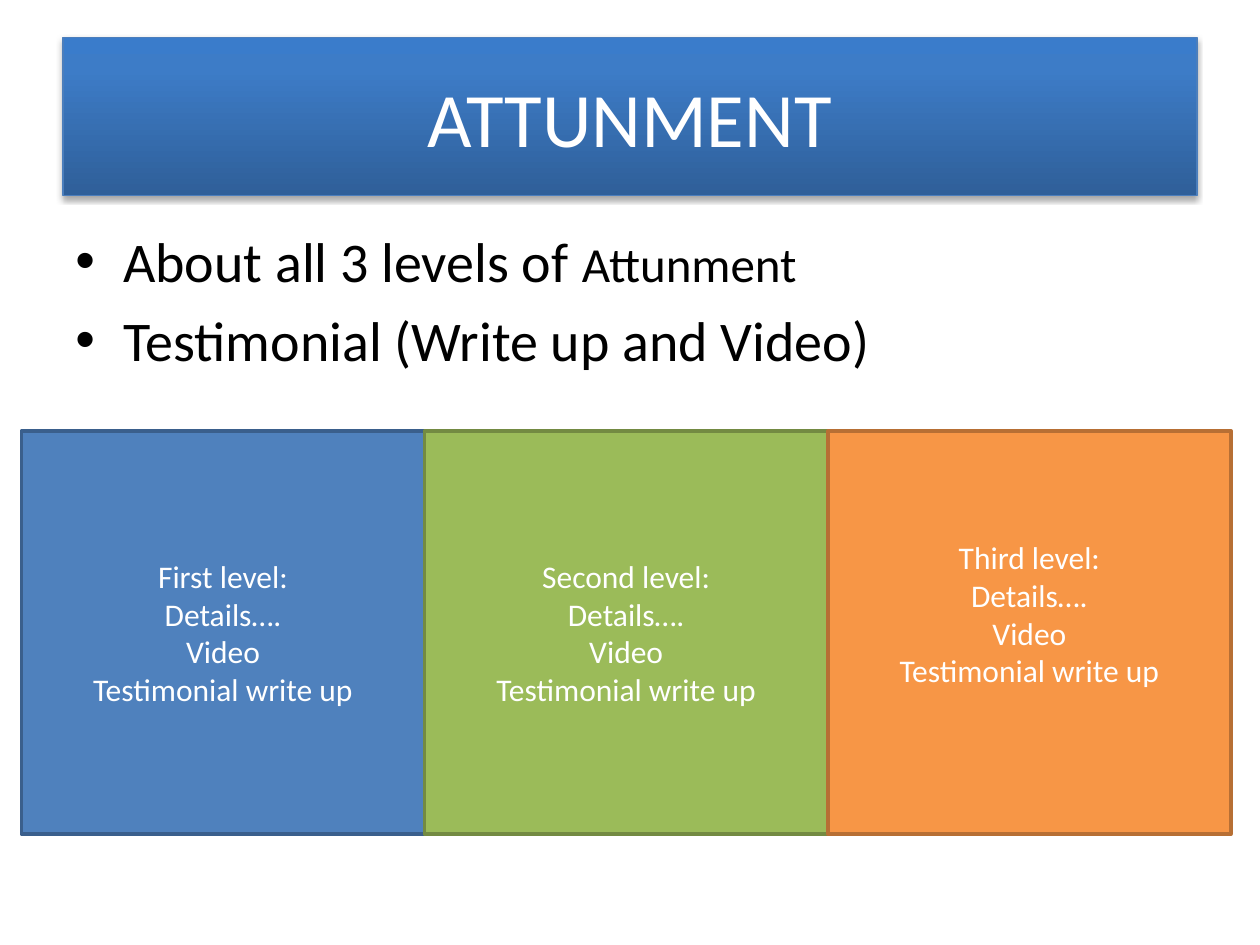
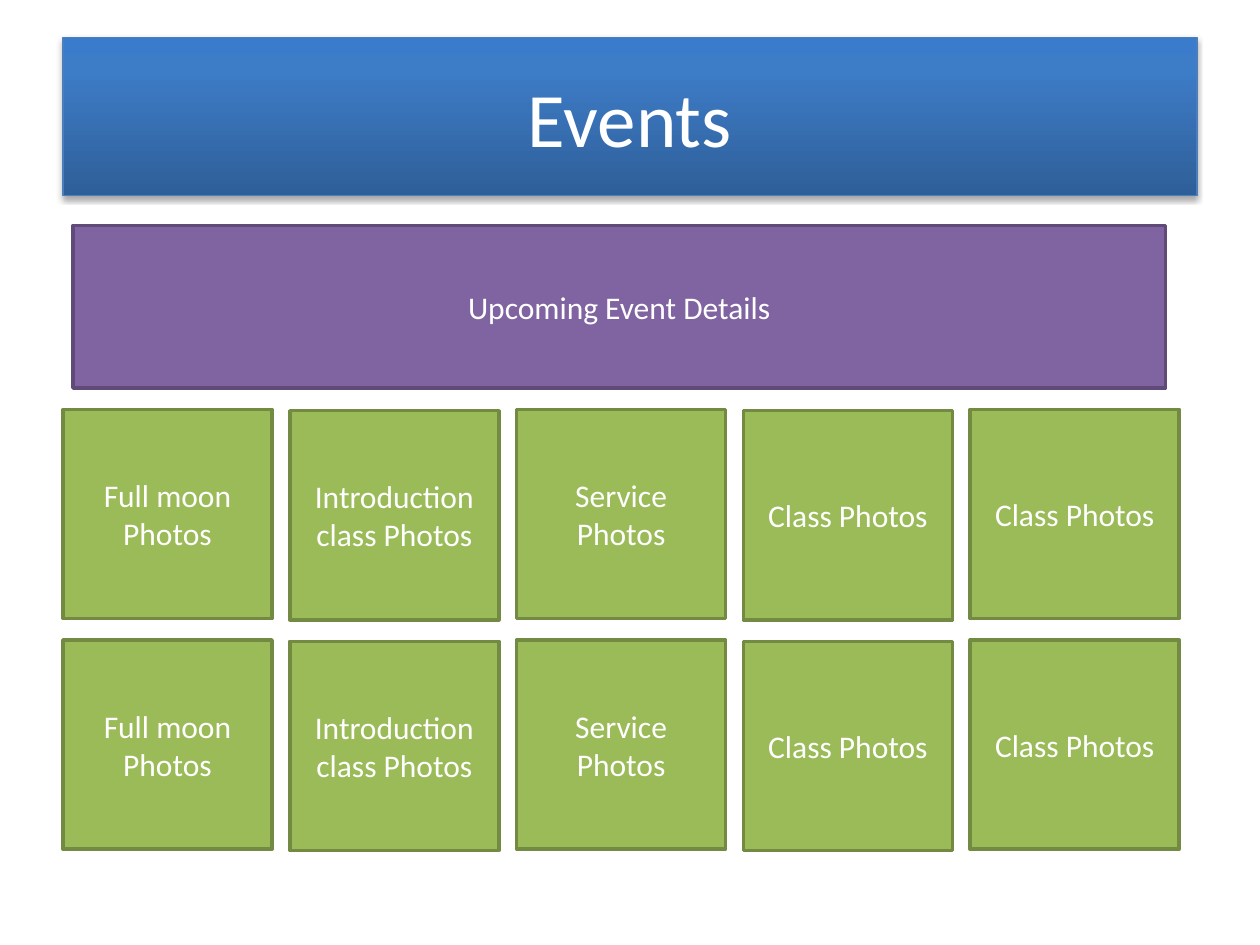
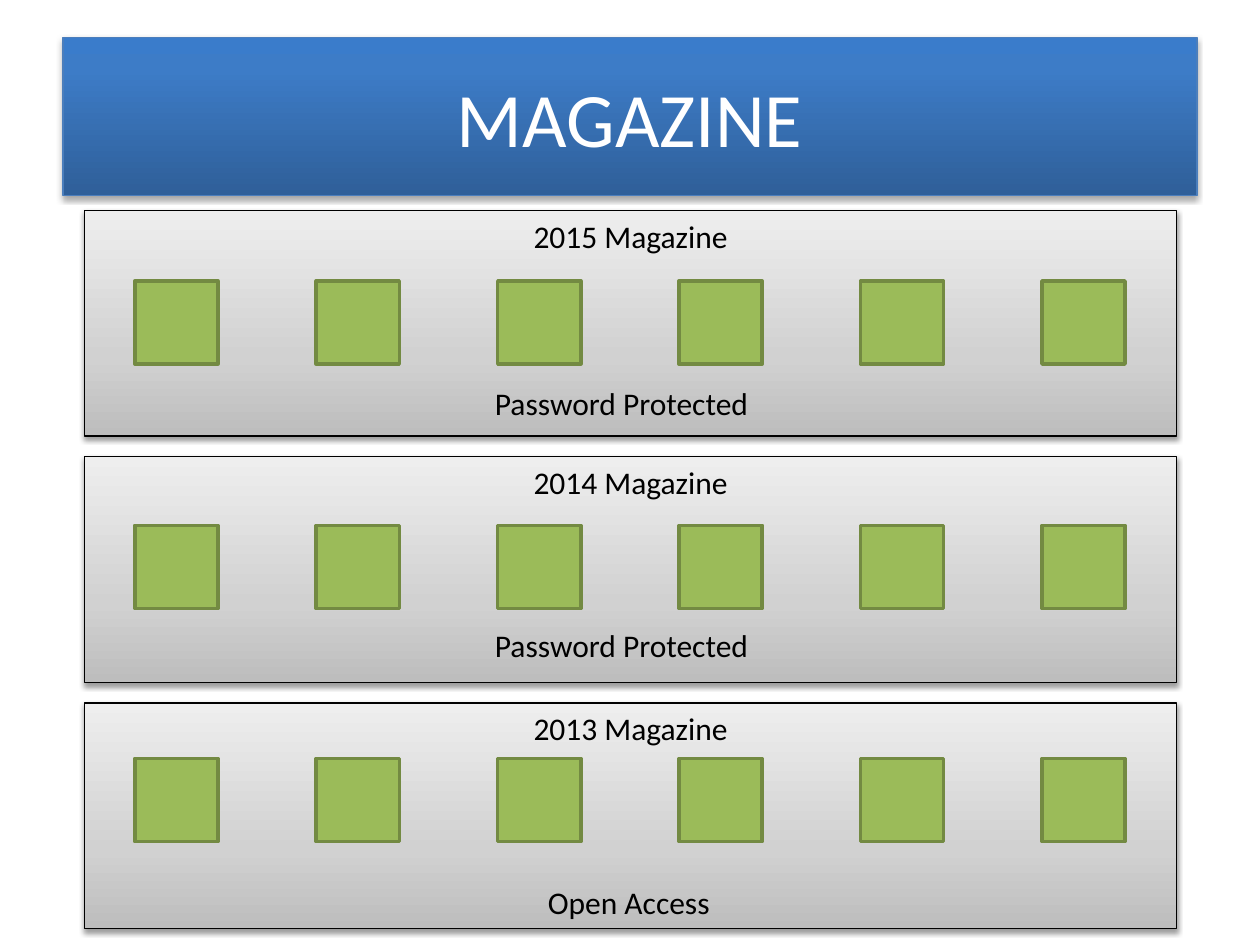
from pptx import Presentation
from pptx.dml.color import RGBColor
from pptx.enum.shapes import MSO_SHAPE
from pptx.enum.text import MSO_ANCHOR, MSO_AUTO_SIZE, PP_ALIGN
from pptx.oxml import parse_xml
from pptx.oxml.ns import nsdecls, qn
from pptx.util import Inches, Pt

FONT = "Calibri"
WHITE, BLACK = "FFFFFF", "000000"
BLUE = ("4F81BD", "3A5F8C")
GREEN = ("9BBB59", "738A42")
ORANGE = ("F79646", "B76F34")
PURPLE = ("8064A2", "5F4A78")
TITLE_STOPS = [(0, "2F5F99"), (80, "3D7CC7"), (100, "3A7CCB")]
PANEL_STOPS = [(0, "BDBDBD"), (35, "D1D1D1"), (100, "EEEEEE")]


def color(value):
    return RGBColor.from_string(value)


def write_text(frame, lines, size=18, ink=WHITE, align=PP_ALIGN.CENTER,
               anchor=MSO_ANCHOR.MIDDLE, wrap=True, bullet=False):
    frame.word_wrap = wrap
    frame.vertical_anchor = anchor
    for index, line in enumerate(lines):
        paragraph = frame.paragraphs[0] if index == 0 else frame.add_paragraph()
        paragraph.alignment = align
        for text, run_size in [(line, size)] if isinstance(line, str) else line:
            run = paragraph.add_run()
            run.text = text
            run.font.name = FONT
            run.font.size = Pt(run_size)
            run.font.color.rgb = color(ink)
        if bullet:
            paragraph.space_before = Pt(size * 0.2)
            properties = paragraph._p.get_or_add_pPr()
            properties.set("marL", str(Inches(0.38)))
            properties.set("indent", str(-Inches(0.38)))
            properties.append(parse_xml(f'<a:buFont {nsdecls("a")} typeface="Arial"/>'))
            properties.append(parse_xml(f'<a:buChar {nsdecls("a")} char="•"/>'))


class Deck:
    def __init__(self):
        self.presentation = Presentation()
        self.presentation.slide_width = Inches(10)
        self.presentation.slide_height = Inches(7.5)
        self.slide = None

    def add_slide(self, title):
        self.slide = self.presentation.slides.add_slide(self.presentation.slide_layouts[6])
        band = self.gradient_box(0.5, 0.3, 9, 1.25, TITLE_STOPS, "4B7EBC", 35, 1.8)
        write_text(band.text_frame, [title], size=44)

    def rectangle(self, left, top, width, height, line, weight):
        shape = self.slide.shapes.add_shape(
            MSO_SHAPE.RECTANGLE, Inches(left), Inches(top), Inches(width), Inches(height))
        shape.shadow.inherit = False
        shape.line.color.rgb = color(line)
        shape.line.width = Pt(weight)
        return shape

    def box(self, left, top, width, height, colors, lines=()):
        fill, line = colors
        shape = self.rectangle(left, top, width, height, line, 2)
        shape.fill.solid()
        shape.fill.fore_color.rgb = color(fill)
        write_text(shape.text_frame, lines)
        return shape

    def gradient_box(self, left, top, width, height, stops, line, opacity, distance):
        shape = self.rectangle(left, top, width, height, line, 0.75)
        shape.fill.gradient()
        shape.fill.gradient_angle = 90
        properties = shape._element.spPr
        stop_list = properties.find(qn("a:gradFill")).find(qn("a:gsLst"))
        for stop in list(stop_list):
            stop_list.remove(stop)
        for position, value in stops:
            stop_list.append(parse_xml(
                f'<a:gs {nsdecls("a")} pos="{position * 1000}"><a:srgbClr val="{value}"/></a:gs>'))
        properties.find(qn("a:effectLst")).append(parse_xml(
            f'<a:outerShdw {nsdecls("a")} blurRad="{Pt(3.1)}" dist="{Pt(distance)}" '
            f'dir="5400000" rotWithShape="0"><a:srgbClr val="{BLACK}">'
            f'<a:alpha val="{opacity * 1000}"/></a:srgbClr></a:outerShdw>'))
        return shape

    def panel(self, top, heading):
        shape = self.gradient_box(0.67, top, 8.67, 1.79, PANEL_STOPS, BLACK, 38, 1.6)
        write_text(shape.text_frame, [heading], ink=BLACK, anchor=MSO_ANCHOR.TOP)

    def text(self, left, top, width, height, lines, **style):
        shape = self.slide.shapes.add_textbox(
            Inches(left), Inches(top), Inches(width), Inches(height))
        write_text(shape.text_frame, lines, ink=BLACK, align=PP_ALIGN.LEFT,
                   anchor=MSO_ANCHOR.TOP, **style)
        return shape

    def label(self, left, top, width, caption):
        shape = self.text(left, top, width, 0.4, [caption], wrap=False)
        shape.text_frame.auto_size = MSO_AUTO_SIZE.SHAPE_TO_FIT_TEXT


def attunement_slide(deck):
    deck.add_slide("ATTUNMENT")
    deck.text(0.5, 1.75, 9, 4.95, [
        [("About all 3 levels of ", 32), ("Attunment", 28)],
        "Testimonial (Write up and Video)",
    ], size=32, bullet=True)
    levels = [("First", BLUE), ("Second", GREEN), ("Third", ORANGE)]
    for column, (level, colors) in enumerate(levels):
        lines = [f"{level} level:", "Details….", "Video", "Testimonial write up"]
        box = deck.box(0.17 + 3.2 * column, 3.42, 3.2, 3.2, colors, lines)
    box.text_frame.margin_bottom = Inches(0.35)


def events_slide(deck):
    deck.add_slide("Events")
    deck.box(0.58, 1.79, 8.67, 1.29, PURPLE, ["Upcoming Event Details"])
    topics = ["Full moon", "Introduction class", "Service", "Class", "Class"]
    for top in (3.25, 5.08):
        for column, topic in enumerate(topics):
            deck.box(0.5 + 1.8 * column, top + 0.01 * (column % 2), 1.66, 1.66,
                     GREEN, [f"{topic} Photos"])


def magazine_slide(deck):
    deck.add_slide("MAGAZINE")
    protected = (3.83, 2.23, "Password Protected")
    public = (4.25, 1.5, "Open Access")
    issues = [
        (2015, 2.23, 3, protected),
        (2014, 4.17, 4.92, protected),
        (2013, 6.02, 6.96, public),
    ]
    for row, (year, cover_top, label_top, (left, width, access)) in enumerate(issues):
        deck.panel(1.67 + 1.955 * row, f"{year} Magazine")
        for column in range(6):
            deck.box(1.07 + 1.44 * column, cover_top, 0.66, 0.66, GREEN)
        deck.label(left, label_top, width, access)


deck = Deck()
attunement_slide(deck)
events_slide(deck)
magazine_slide(deck)
deck.presentation.save("out.pptx")
